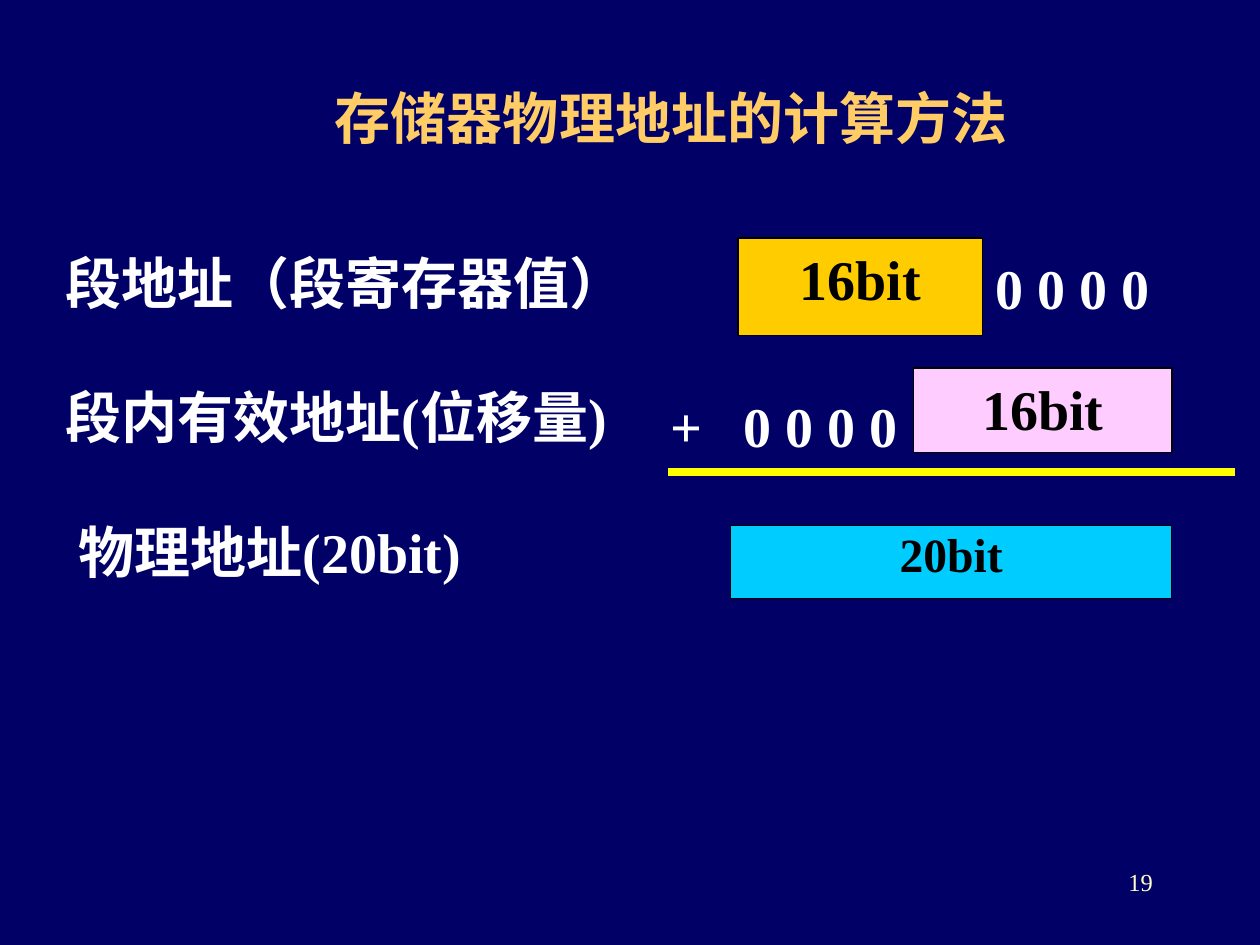
import pptx
import pptx.util
import pptx.dml.color
import pptx.enum.shapes
import pptx.enum.text
import lxml.etree

Cm, Pt = pptx.util.Cm, pptx.util.Pt
RGBColor = pptx.dml.color.RGBColor
ALIGN = pptx.enum.text.PP_ALIGN
ANCHOR = pptx.enum.text.MSO_ANCHOR

NAVY = RGBColor(0x00, 0x00, 0x66)
CREAM = RGBColor(0xFF, 0xFF, 0xCC)
AMBER = RGBColor(0xFF, 0xCC, 0x66)
WHITE = RGBColor(0xFF, 0xFF, 0xFF)
BLACK = RGBColor(0x00, 0x00, 0x00)
GOLD = RGBColor(0xFF, 0xCC, 0x00)
PINK = RGBColor(0xFF, 0xCC, 0xFF)
CYAN = RGBColor(0x00, 0xCC, 0xFF)
YELLOW = RGBColor(0xFF, 0xFF, 0x00)

FONT = "Times New Roman"
DRAW = "http://schemas.openxmlformats.org/drawingml/2006/main"


def write(frame, lines, color, size=32, bold=True, align=ALIGN.LEFT,
          pitch=1.0, gap=0):
    """Fill a text frame, with gap points between its paragraphs."""
    for i, line in enumerate(lines):
        para = frame.paragraphs[0] if i == 0 else frame.add_paragraph()
        para.text = line
        para.alignment = align
        para.line_spacing = pitch
        if i:
            para.space_before = Pt(gap)
        font = para.font
        font.name, font.size, font.bold = FONT, Pt(size), bold
        font.color.rgb = color


def add_text(slide, box, lines, color, wrap=True, anchor=ANCHOR.TOP, **style):
    frame = slide.shapes.add_textbox(*map(Cm, box)).text_frame
    frame.word_wrap = wrap
    frame.vertical_anchor = anchor
    write(frame, lines, color, **style)


def add_field(slide, box, text, fill, **style):
    """A filled rectangle that stands for a group of address bits."""
    kind = pptx.enum.shapes.MSO_SHAPE.RECTANGLE
    field = slide.shapes.add_shape(kind, *map(Cm, box))
    field.shadow.inherit = False
    field.fill.solid()
    field.fill.fore_color.rgb = fill
    field.line.color.rgb = BLACK
    field.line.width = Pt(0.75)
    field.text_frame.vertical_anchor = ANCHOR.TOP
    write(field.text_frame, [text], BLACK, align=ALIGN.CENTER, **style)


def add_rule(slide, left, right, y):
    kind = pptx.enum.shapes.MSO_CONNECTOR.STRAIGHT
    rule = slide.shapes.add_connector(kind, Cm(left), Cm(y), Cm(right), Cm(y))
    rule.line.color.rgb = YELLOW
    rule.line.width = Pt(4.5)
    props = rule._element.spPr
    lxml.etree.SubElement(props, "{%s}effectLst" % DRAW)


def main():
    deck = pptx.Presentation()
    deck.slide_width, deck.slide_height = Cm(25.4), Cm(19.05)
    slide = deck.slides.add_slide(deck.slide_layouts[6])
    slide.background.fill.solid()
    slide.background.fill.fore_color.rgb = NAVY

    # Page number and title
    add_text(slide, (18.21, 17.35, 5.28, 1.27), ["19"], CREAM,
             size=14, bold=False, align=ALIGN.RIGHT)
    add_text(slide, (2.74, 1.27, 21.59, 1.9), ["存储器物理地址的计算方法"],
             AMBER, align=ALIGN.CENTER, anchor=ANCHOR.BOTTOM)

    # Row labels, one blank line's height apart
    labels = ["段地址（段寄存器值）", "段内有效地址(位移量)", " 物理地址(20bit)"]
    add_text(slide, (1.07, 4.88, 21.79, 7.04), labels, WHITE,
             align=ALIGN.JUSTIFY, gap=38.4)

    # Address fields
    add_field(slide, (14.88, 4.8, 4.93, 1.96), "16bit", GOLD)
    add_field(slide, (18.42, 7.42, 5.21, 1.7), "16bit", PINK)
    add_field(slide, (14.73, 10.59, 8.89, 1.47), "20bit", CYAN,
              size=27.2, pitch=0.9)

    # Sum line, plus sign and zero padding
    add_rule(slide, 13.46, 24.89, 9.52)
    for left, top, width, text in [(19.81, 4.65, 3.63, "0 0 0 0"),
                                   (13.26, 7.42, 1.17, "+"),
                                   (14.73, 7.42, 3.63, "0 0 0 0")]:
        add_text(slide, (left, top, width, 1.96), [text], WHITE,
                 wrap=False, pitch=1.25)

    deck.save("out.pptx")


if __name__ == "__main__":
    main()
